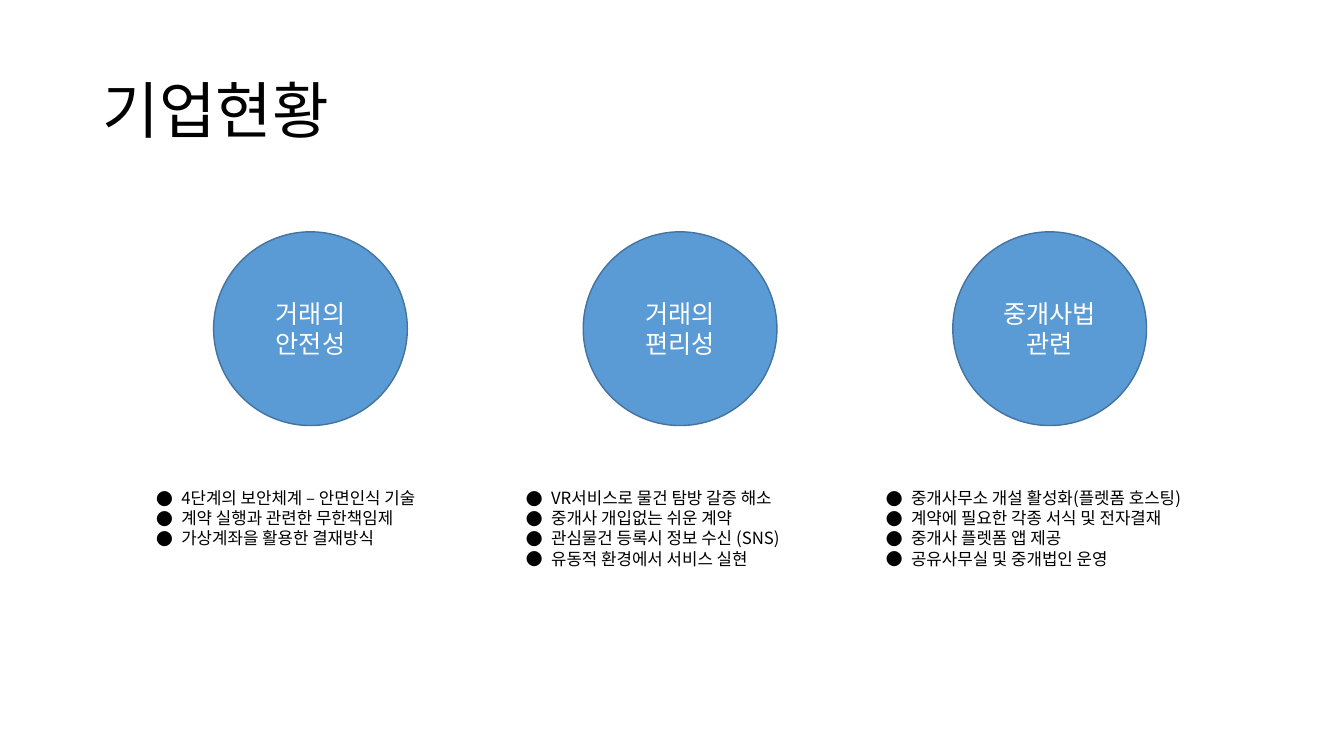
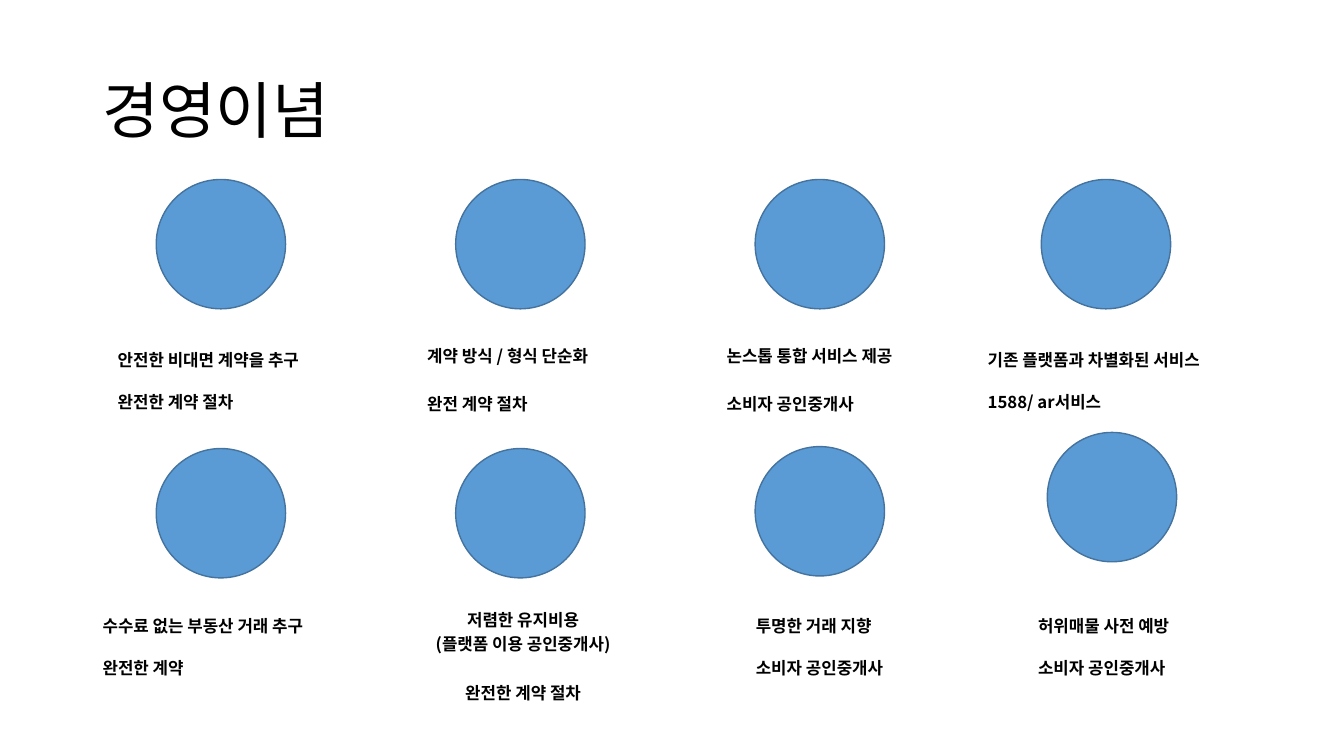
from lxml.etree import SubElement
from pptx import Presentation
from pptx.dml.color import RGBColor
from pptx.enum.shapes import MSO_SHAPE
from pptx.enum.text import MSO_ANCHOR, PP_ALIGN
from pptx.oxml.ns import qn
from pptx.util import Pt

FACE = "Noto Sans CJK KR"
BLUE, EDGE, BLACK, WHITE = "5B9BD5", "43739E", "000000", "FFFFFF"


def paint(target, color):
    target.rgb = RGBColor.from_string(color)


def style(para, size, color=BLACK, bold=False, align=PP_ALIGN.LEFT, face=FACE):
    para.alignment = align
    font = para.font
    font.size, font.bold, font.name = Pt(size), bold, face
    paint(font.color, color)
    base = para._p.pPr.find(qn("a:defRPr"))
    SubElement(base, qn("a:ea"), typeface=FACE)


def dot(para):
    props = para._p.get_or_add_pPr()
    props.set("marL", str(Pt(18)))
    props.set("indent", str(-Pt(18)))
    SubElement(props, qn("a:buFont"), typeface=FACE)
    SubElement(props, qn("a:buChar"), char="●")


def page(deck, name):
    slide = deck.slides.add_slide(deck.slide_layouts.get_by_name("Title Only"))
    title = slide.shapes.title
    title.left, title.top, title.width, title.height = map(Pt, (66, 28.75, 828, 104.4))
    title.text_frame.vertical_anchor = MSO_ANCHOR.MIDDLE
    title.text = name
    para = title.text_frame.paragraphs[0]
    para.line_spacing = 0.9
    style(para, 44)
    return slide


def disc(slide, left, top, size, label=""):
    shape = slide.shapes.add_shape(MSO_SHAPE.OVAL, Pt(left), Pt(top), Pt(size), Pt(size))
    shape.shadow.inherit = False
    shape.fill.solid()
    paint(shape.fill.fore_color, BLUE)
    paint(shape.line.color, EDGE)
    shape.line.width = Pt(1)
    if label:
        frame = shape.text_frame
        frame.word_wrap = True
        frame.vertical_anchor = MSO_ANCHOR.MIDDLE
        frame.text = label
        style(frame.paragraphs[0], 18, WHITE, align=PP_ALIGN.CENTER)


def write(slide, box, lines):
    frame = slide.shapes.add_textbox(*map(Pt, box)).text_frame
    frame.word_wrap = True
    frame.text = "\n".join(lines)
    return frame.paragraphs


def points(slide, box, lines):
    for para in write(slide, box, lines):
        dot(para)
        style(para, 12)


def loose(slide, box, lines, last=FACE):
    for line, para in zip(lines, write(slide, box, lines)):
        para.line_spacing = 1.5
        para.space_before = Pt(8.1)
        style(para, 12, bold=True, face=last if line == lines[-1] else FACE)


def split(slide, box, lines, align=PP_ALIGN.LEFT):
    paras = write(slide, box, lines)
    for para in paras:
        para.line_spacing = 1.2
    paras[-1].space_before = Pt(17.3)
    for para in paras:
        style(para, 12, bold=True, align=align)


def status(deck):
    slide = page(deck, "기업현황")
    parts = [
        ("거래의 안전성", 104.4, 252.7, [
            "4단계의 보안체계 – 안면인식 기술",
            "계약 실행과 관련한 무한책임제",
            "가상계좌을 활용한 결재방식"]),
        ("거래의 편리성", 368.6, 234.7, [
            "VR서비스로 물건 탐방 갈증 해소",
            "중개사 개입없는 쉬운 계약",
            "관심물건 등록시 정보 수신 (SNS)",
            "유동적 환경에서 서비스 실현"]),
        ("중개사법 관련", 625.7, 268.6, [
            "중개사무소 개설 활성화(플렛폼 호스팅)",
            "계약에 필요한 각종 서식 및 전자결재",
            "중개사 플렛폼 앱 제공",
            "공유사무실 및 중개법인 운영"]),
    ]
    for i, (label, left, width, lines) in enumerate(parts):
        disc(slide, 152.6 + 264 * i, 165.6, 138.4, label)
        points(slide, (left, 344.9, width, 14.4 * len(lines) + 7.2), lines)


def creed(deck):
    slide = page(deck, "경영이념")
    lefts = [111.6 + 213.9 * i for i in range(3)]
    tops = [320.4, 320.4, 319, 308.9]
    for left, top in zip(lefts + [748.1], tops):
        disc(slide, left, top, 92.4)
    for left in lefts + [743.8]:
        disc(slide, left, 128.2, 92.4)

    high, low = 239, 429.1
    loose(slide, (77, high, 162, 59), ["안전한 비대면 계약을 추구", "완전한 계약 절차"])
    split(slide, (298.1, 240.5, 147.6, 59.8), ["계약 방식 / 형식 단순화", "완전 계약 절차"])
    split(slide, (511.9, 240.5, 147.6, 59.8), ["논스톱 통합 서비스 제공", "소비자 공인중개사"])
    loose(slide, (698.4, high, 187.2, 59), ["기존 플랫폼과 차별화된 서비스", "1588/ ar서비스"])
    loose(slide, (66.2, low, 183.6, 59), ["수수료 없는 부동산 거래 추구", "완전한 계약"])
    split(slide, (290.9, low, 165.6, 77),
          ["저렴한 유지비용", "(플랫폼 이용 공인중개사)", "완전한 계약 절차"], PP_ALIGN.CENTER)
    loose(slide, (532.8, low, 110.2, 80.6), ["투명한 거래 지향", "소비자 공인중개사"], "Arial Narrow")
    loose(slide, (734.4, low, 123.8, 59), ["허위매물 사전 예방", "소비자 공인중개사"])


deck = Presentation()
deck.slide_width, deck.slide_height = Pt(960), Pt(540)
status(deck)
creed(deck)
deck.save("out.pptx")
